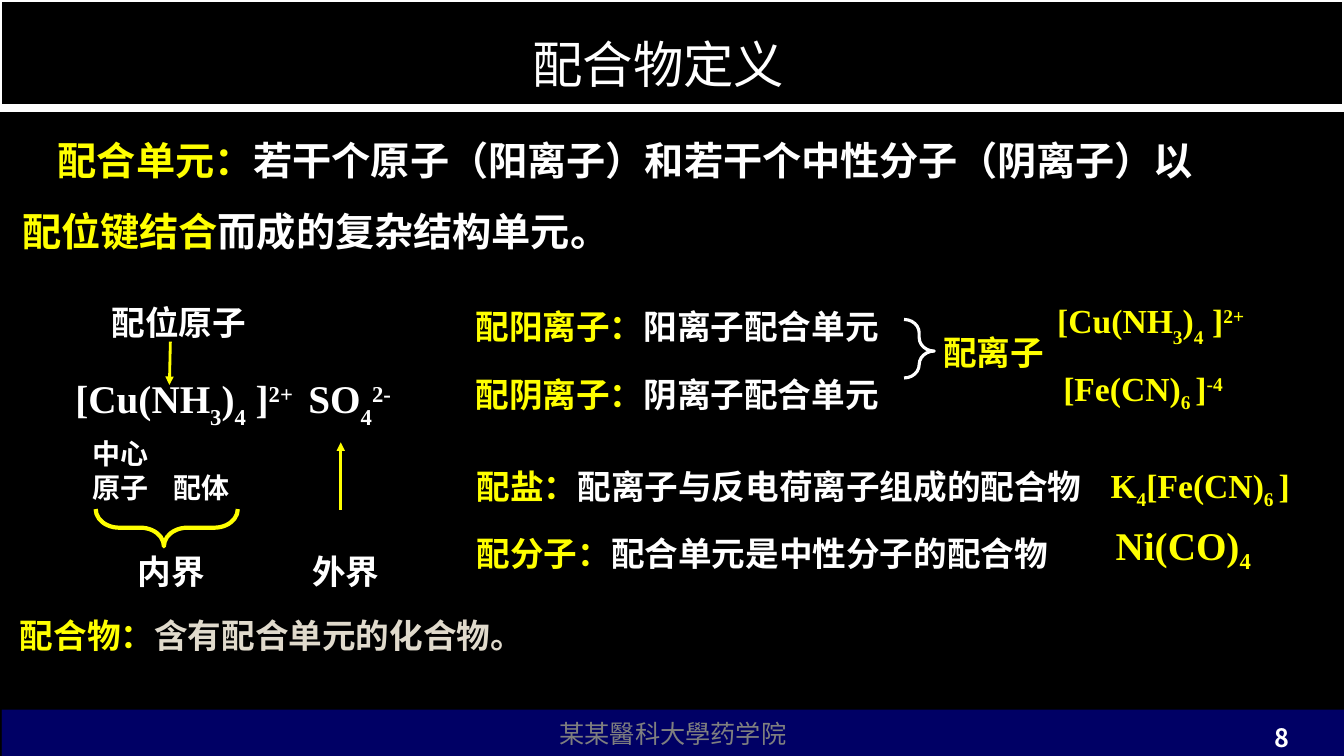
from dataclasses import dataclass
from typing import Optional

import lxml.etree
import pptx
import pptx.dml.color
import pptx.enum.shapes
import pptx.enum.text
import pptx.oxml.ns
import pptx.util

Pt = pptx.util.Pt
RGBColor = pptx.dml.color.RGBColor
PP_ALIGN = pptx.enum.text.PP_ALIGN
MSO_ANCHOR = pptx.enum.text.MSO_ANCHOR
MSO_AUTO_SIZE = pptx.enum.text.MSO_AUTO_SIZE
MSO_SHAPE = pptx.enum.shapes.MSO_SHAPE
qn = pptx.oxml.ns.qn

BLACK = RGBColor(0x00, 0x00, 0x00)
WHITE = RGBColor(0xFF, 0xFF, 0xFF)
YELLOW = RGBColor(0xFF, 0xFF, 0x00)
SAND = RGBColor(0xE0, 0xDA, 0xCC)
BLUE = RGBColor(0x00, 0x00, 0xCC)

SERIF = "Times New Roman"
HEADING = "Cabin"
SANS = "Noto Sans CJK SC"


@dataclass(frozen=True)
class Run:
    text: str
    color: RGBColor = WHITE
    baseline: int = 0


@dataclass(frozen=True)
class Label:
    x: float
    y: float
    w: float
    h: float
    paragraphs: list[list[Run]]
    size: float = 24
    line_spacing: Optional[float] = None
    space_before: float = 0
    wrap: bool = True
    inset: float = 7.2
    indent: float = 0
    tab: float = 0


@dataclass(frozen=True)
class Box:
    x: float
    y: float
    w: float
    h: float
    fill: RGBColor
    alpha: int = 100
    line: float = 0
    text: str = ""


@dataclass(frozen=True)
class Brace:
    x: float
    y: float
    w: float
    h: float
    curve: float
    tip: float
    color: RGBColor
    width: float
    rotation: float = 0


@dataclass(frozen=True)
class Line:
    x1: float
    y1: float
    x2: float
    y2: float
    color: RGBColor
    width: float
    arrow: bool = False


def formula(markup: str, color: RGBColor, sub: int = -30000) -> list[Run]:
    shifts = {"_": sub, "^": 30000}
    return [Run(part.lstrip("_^"), color, shifts.get(part[0], 0)) for part in markup.split("|")]


def term(name: str, meaning: str, color: RGBColor = WHITE) -> list[Run]:
    return [Run(name, YELLOW), Run(meaning, color)]


def format_run(r, size: float, color: RGBColor, latin: str, asian: str, bold: bool) -> None:
    r.font.size = Pt(size)
    r.font.bold = bold
    r.font.color.rgb = color
    r.font.name = latin
    lxml.etree.SubElement(r.font._element, qn("a:ea")).set("typeface", asian)


def draw_label(slide, label: Label) -> None:
    sp = slide.shapes.add_textbox(Pt(label.x), Pt(label.y), Pt(label.w), Pt(label.h))
    tf = sp.text_frame
    tf.word_wrap = label.wrap
    tf.auto_size = MSO_AUTO_SIZE.SHAPE_TO_FIT_TEXT
    tf.margin_left = tf.margin_right = Pt(label.inset)
    for i, runs in enumerate(label.paragraphs):
        p = tf.add_paragraph() if i else tf.paragraphs[0]
        p.line_spacing = label.line_spacing
        p.space_before = Pt(label.space_before)
        pPr = p._p.get_or_add_pPr()
        if label.indent:
            pPr.set("indent", str(Pt(label.indent)))
        if label.tab:
            tabs = lxml.etree.SubElement(pPr, qn("a:tabLst"))
            lxml.etree.SubElement(tabs, qn("a:tab"), pos=str(Pt(label.tab)), algn="l")
        for run in runs:
            r = p.add_run()
            r.text = run.text
            format_run(r, label.size, run.color, SERIF, HEADING, True)
            if run.baseline:
                r.font._element.set("baseline", str(run.baseline))


def draw_box(slide, box: Box) -> None:
    sp = slide.shapes.add_shape(MSO_SHAPE.RECTANGLE, Pt(box.x), Pt(box.y), Pt(box.w), Pt(box.h))
    sp.shadow.inherit = False
    sp.fill.solid()
    sp.fill.fore_color.rgb = box.fill
    if box.alpha < 100:
        color = sp._element.spPr.find(".//" + qn("a:srgbClr"))
        lxml.etree.SubElement(color, qn("a:alpha")).set("val", str(box.alpha * 1000))
    if box.line:
        sp.line.color.rgb = WHITE
        sp.line.width = Pt(box.line)
    else:
        sp.line.fill.background()
    if box.text:
        sp.text_frame.text = box.text
        p = sp.text_frame.paragraphs[0]
        p.alignment = PP_ALIGN.CENTER
        format_run(p.runs[0], 18, WHITE, SANS, SANS, False)


def draw_brace(slide, brace: Brace) -> None:
    sp = slide.shapes.add_shape(
        MSO_SHAPE.RIGHT_BRACE, Pt(brace.x), Pt(brace.y), Pt(brace.w), Pt(brace.h))
    sp.shadow.inherit = False
    sp.fill.background()
    sp.line.color.rgb = brace.color
    sp.line.width = Pt(brace.width)
    sp.adjustments[0] = brace.curve
    sp.adjustments[1] = brace.tip
    sp.rotation = brace.rotation


def draw_line(slide, line: Line) -> None:
    cxn = slide.shapes.add_connector(
        pptx.enum.shapes.MSO_CONNECTOR.STRAIGHT,
        Pt(line.x1), Pt(line.y1), Pt(line.x2), Pt(line.y2))
    cxn.line.color.rgb = line.color
    cxn.line.width = Pt(line.width)
    if line.arrow:
        lxml.etree.SubElement(cxn.line._get_or_add_ln(), qn("a:tailEnd")).set("type", "triangle")
    lxml.etree.SubElement(cxn._element.spPr, qn("a:effectLst"))


def draw_title(slide, text: str) -> None:
    sp = slide.shapes.title
    slide.shapes._spTree.append(sp._element)
    sp.left, sp.top, sp.width, sp.height = Pt(167.8), Pt(3.6), Pt(604.8), Pt(67)
    tf = sp.text_frame
    tf.text = text
    tf.auto_size = MSO_AUTO_SIZE.NONE
    tf.vertical_anchor = MSO_ANCHOR.BOTTOM
    p = tf.paragraphs[0]
    p.alignment = PP_ALIGN.CENTER
    format_run(p.runs[0], 36, WHITE, HEADING, HEADING, False)


def draw_page_number(slide, text: str) -> None:
    sp = slide.shapes.add_textbox(Pt(836), Pt(517), Pt(92), Pt(19.4))
    tf = sp.text_frame
    tf.word_wrap = True
    tf.text = text
    tf.vertical_anchor = MSO_ANCHOR.MIDDLE
    p = tf.paragraphs[0]
    p.alignment = PP_ALIGN.RIGHT
    format_run(p.runs[0], 18, WHITE, SANS, SANS, True)


BOXES = [
    Box(1.4, 506.9, 958.6, 33.8, BLUE, text="某某醫科大學药学院"),
    Box(1.4, 0, 960, 540, BLACK, alpha=50),
    Box(0, 0, 960, 77, BLACK, line=3),
]
LINES = [
    Line(0, 77, 960, 77, WHITE, 6),
    Line(243.4, 364.3, 243.4, 316, YELLOW, 2, True),
    Line(121.7, 244, 121, 275, YELLOW, 2, True),
]
BRACES = [
    Brace(105.8, 326.2, 26.6, 101.5, 0.63, 0.52, YELLOW, 3, 90),
    Brace(645.8, 228.2, 21.6, 41.8, 0.5, 0.54, WHITE, 2.25),
]
LABELS = [
    Label(15.8, 77, 838.8, 108.7, [[
        *term("配合单元：", "若干个原子（阳离子）和若干个中性分子（阴离子）以"),
        *term("配位键结合", "而成的复杂结构单元。")]], 28, 1.5, 5.6, inset=0, indent=25.5),
    Label(7.2, 435.6, 365, 36, [term("配合物：", "含有配合单元的化合物。", SAND)], space_before=4.8),
    Label(46.8, 264.2, 331.2, 41, [formula("[Cu(NH|_3|)|_4| ]|^2+ | SO|_4|^2-", WHITE)], 28),
    Label(91.4, 390.2, 63.4, 36.7, [[Run("内界")]]),
    Label(216, 390.2, 63.4, 36.7, [[Run("外界")]]),
    Label(72.7, 212.4, 143.3, 36.7, [[Run("配位原子")]]),
    Label(59, 308.2, 124.6, 55.4, [[Run("中心")], [Run("原子\t配体")]], 20, tab=58),
    Label(333.4, 314.6, 519.8, 100, [
        term("配盐：", "配离子与反电荷离子组成的配合物"),
        term("配分子：", "配合单元是中性分子的配合物")], 24, 1.5, 4.8),
    Label(789.8, 368.6, 113.8, 41, [formula("Ni(CO)|_4", YELLOW, -25000)], 28, wrap=False),
    Label(786.2, 328.3, 146.2, 36, [formula("K|_4|[Fe(CN)|_6 |]", YELLOW, -25000)], wrap=False),
    Label(332.6, 200.9, 519.8, 100, [
        term("配阳离子：", "阳离子配合单元"),
        term("配阴离子：", "阴离子配合单元")], 24, 1.5, 4.8),
    Label(666.7, 233.3, 121, 36.7, [[Run("配离子", YELLOW)]], space_before=4.8),
    Label(748.1, 211, 157.7, 36, [formula("[Cu(NH|_3|)|_4| ]|^2+", YELLOW)], wrap=False),
    Label(752.4, 259.2, 133.2, 36, [formula("[Fe(CN)|_6 |]|^-4", YELLOW, -25000)], wrap=False),
]


def main() -> None:
    prs = pptx.Presentation()
    prs.slide_width, prs.slide_height = Pt(960), Pt(540)
    slide = prs.slides.add_slide(prs.slide_layouts[5])
    slide.background.fill.solid()
    slide.background.fill.fore_color.rgb = BLACK
    for items, draw in ((BOXES, draw_box), (LINES, draw_line), (BRACES, draw_brace), (LABELS, draw_label)):
        for item in items:
            draw(slide, item)
    draw_title(slide, "配合物定义")
    draw_page_number(slide, "8")
    prs.save("out.pptx")


if __name__ == "__main__":
    main()
